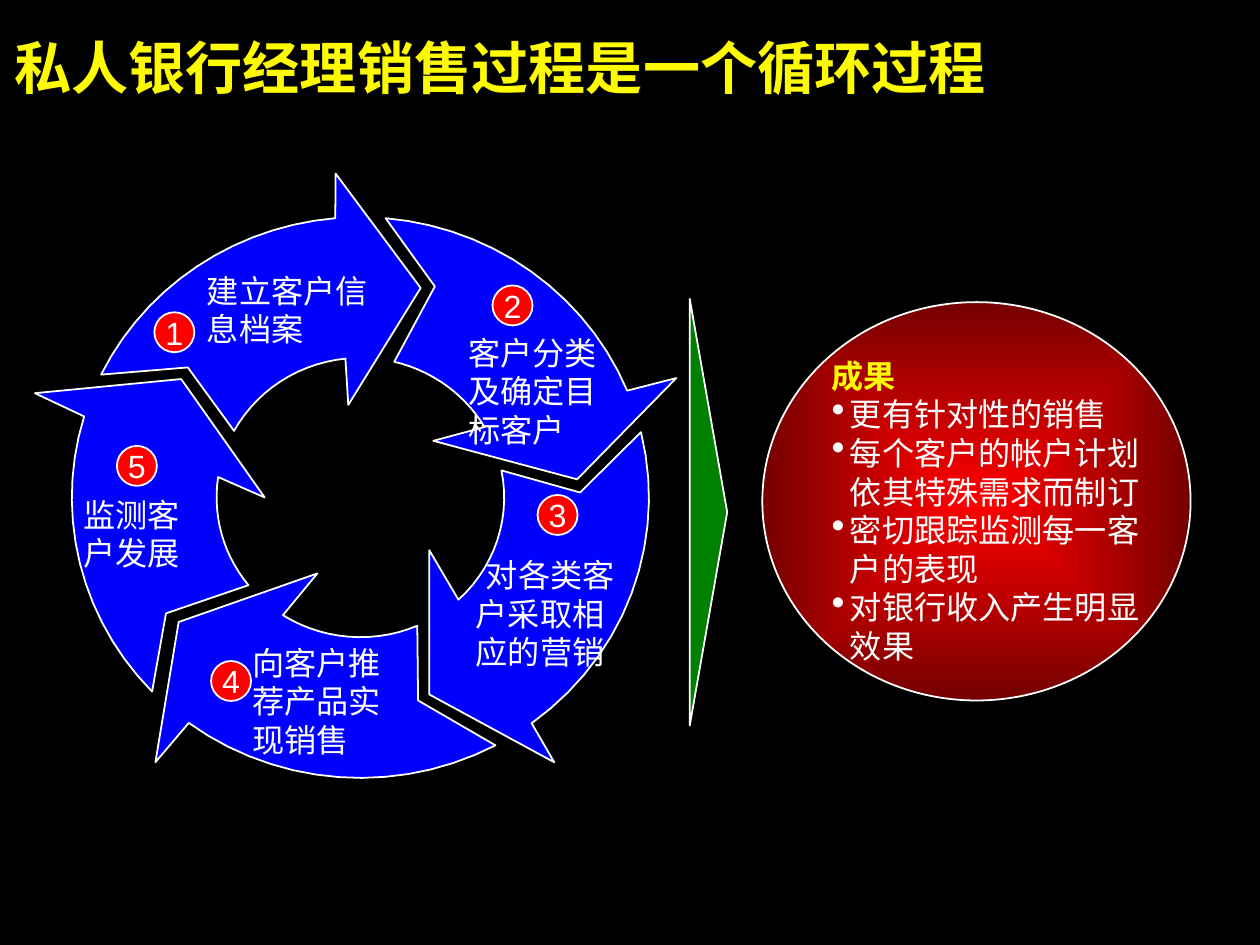
from dataclasses import dataclass
from math import cos, radians, sin

from lxml import etree
from pptx import Presentation
from pptx import util as u
from pptx.dml.color import RGBColor
from pptx.enum import shapes, text
from pptx.oxml.ns import qn


@dataclass(frozen=True)
class Theme:
    background: RGBColor = RGBColor(0, 0, 0)
    white: RGBColor = RGBColor(0xFF, 0xFF, 0xFF)
    heading: RGBColor = RGBColor(0xFE, 0xFB, 0)
    arrow: RGBColor = RGBColor(0, 0, 0xFE)
    red: RGBColor = RGBColor(0xFF, 0, 0)
    dark_red: RGBColor = RGBColor(0x75, 0, 0)
    green: RGBColor = RGBColor(0, 0x80, 0)
    font: str = "Arial"
    title_size: int = 32
    body_size: int = 18
    line_width: int = 1


CENTER = (7.12, 9.83)
OUTER_RADII = (5.7, 5.54)
INNER_RADII = (2.84, 2.76)
ARC_STEPS = 14
BADGE_SIZE = 0.79

STEPS = [
    dict(label="建立客户信息档案", box=(4.09, 5.36, 3.33, 1.52), badge=(3.05, 6.17),
         inner=(208.5, 264), head=[(6.88, 8), (8.31, 5.69), (6.63, 3.43)],
         outer=(265, 206), notch=(3.71, 7.26)),
    dict(label="客户分类及确定目标客户", box=(9.25, 6.58, 2.97, 2.29), badge=(9.73, 5.64),
         inner=(283.6, 329.7), head=[(8.56, 8.71), (11.4, 9.47), (13.36, 7.47)],
         outer=(337.6, 275), notch=(8.59, 5.66)),
    dict(label="对各类客户采取相应的营销", box=(9.3, 10.97, 2.9, 2.29), badge=(10.62, 9.78),
         inner=(-11.2, 47), head=[(8.48, 10.87), (8.48, 13.72), (10.95, 15.06)],
         outer=(53.6, -13.5), notch=(11.46, 9.73), indent=(0.1, 0.2)),
    dict(label="向客户推荐产品实现销售", box=(4.98, 12.7, 3.07, 2.29), badge=(4.17, 13.06),
         inner=(66.7, 122.6), head=[(6.27, 11.33), (3.53, 12.29), (3.07, 15.06)],
         outer=(126.5, 62.1), notch=(8.26, 13.84)),
    dict(label="监测客户发展", box=(1.65, 9.78, 2.39, 1.52), badge=(2.31, 8.81),
         inner=(141.1, 188.4), head=[(5.23, 9.83), (3.58, 7.49), (0.69, 7.77)],
         outer=(196.8, 136.2), notch=(3.28, 12.12)),
]

RESULTS = ["更有针对性的销售", "每个客户的帐户计划依其特殊需求而制订",
           "密切跟踪监测每一客户的表现", "对银行收入产生明显效果"]


def arc(radii, angles):
    start, end = angles
    turns = [radians(start + (end - start) * i / ARC_STEPS) for i in range(ARC_STEPS + 1)]
    return [(CENTER[0] + radii[0] * cos(t), CENTER[1] + radii[1] * sin(t)) for t in turns]


class SlideBuilder:
    """Draws styled elements on the current slide."""

    def __init__(self, slide, theme):
        self.slide = slide
        self.theme = theme
        slide.background.fill.solid()
        slide.background.fill.fore_color.rgb = theme.background

    def style_text(self, paragraph, color, size=None, bold=False):
        paragraph.font.name = self.theme.font
        paragraph.font.size = u.Pt(size or self.theme.body_size)
        paragraph.font.color.rgb = color
        paragraph.font.bold = bold

    def style_shape(self, shape, color):
        shape.shadow.inherit = False
        shape.fill.solid()
        shape.fill.fore_color.rgb = color
        shape.line.color.rgb = self.theme.white
        shape.line.width = u.Pt(self.theme.line_width)

    def set_frame(self, frame, anchor, wrap=True):
        frame.auto_size = text.MSO_AUTO_SIZE.NONE
        frame.word_wrap = wrap
        frame.vertical_anchor = anchor
        frame.margin_left = frame.margin_right = frame.margin_top = frame.margin_bottom = 0

    def set_indent(self, paragraph, margin, first_line):
        properties = paragraph._p.get_or_add_pPr()
        properties.set("marL", str(u.Cm(margin)))
        properties.set("indent", str(u.Cm(first_line)))
        return properties

    def title(self, words, box):
        title = self.slide.shapes.title
        title.left, title.top, title.width, title.height = map(u.Cm, box)
        self.set_frame(title.text_frame, text.MSO_ANCHOR.TOP)
        title.text_frame.text = words
        paragraph = title.text_frame.paragraphs[0]
        paragraph.alignment = text.PP_ALIGN.LEFT
        self.style_text(paragraph, self.theme.heading, self.theme.title_size, True)

    def text_box(self, words, box, anchor):
        frame = self.slide.shapes.add_textbox(*map(u.Cm, box)).text_frame
        self.set_frame(frame, anchor)
        frame.text = words
        return frame

    def label(self, words, box, indent):
        paragraph = self.text_box(words, box, text.MSO_ANCHOR.MIDDLE).paragraphs[0]
        self.set_indent(paragraph, *indent)
        self.style_text(paragraph, self.theme.white)

    def bullet_list(self, heading, items, box):
        frame = self.text_box(heading, box, text.MSO_ANCHOR.TOP)
        self.style_text(frame.paragraphs[0], self.theme.heading, bold=True)
        for item in items:
            paragraph = frame.add_paragraph()
            paragraph.text = item
            properties = self.set_indent(paragraph, 0.36, -0.36)
            color = etree.SubElement(properties, qn("a:buClr"))
            etree.SubElement(color, qn("a:srgbClr"), val=str(self.theme.white))
            etree.SubElement(properties, qn("a:buSzPct"), val="120000")
            etree.SubElement(properties, qn("a:buChar"), char="•")
            self.style_text(paragraph, self.theme.white)

    def preset(self, kind, box, color, rotation=0):
        shape = self.slide.shapes.add_shape(kind, *map(u.Cm, box))
        shape.rotation = rotation
        self.style_shape(shape, color)
        return shape

    def badge(self, number, position):
        box = (*position, BADGE_SIZE, BADGE_SIZE)
        shape = self.preset(shapes.MSO_SHAPE.OVAL, box, self.theme.red)
        self.set_frame(shape.text_frame, text.MSO_ANCHOR.MIDDLE, wrap=False)
        shape.text_frame.text = str(number)
        paragraph = shape.text_frame.paragraphs[0]
        paragraph.alignment = text.PP_ALIGN.CENTER
        self.style_text(paragraph, self.theme.white)

    def cycle_arrow(self, step):
        outline = [*arc(INNER_RADII, step["inner"]), *step["head"],
                   *arc(OUTER_RADII, step["outer"]), step["notch"]]
        points = [(u.Cm(x), u.Cm(y)) for x, y in outline]
        builder = self.slide.shapes.build_freeform(*points[0])
        builder.add_line_segments(points[1:], close=True)
        self.style_shape(builder.convert_to_shape(), self.theme.arrow)

    def glowing_oval(self, box):
        shape = self.preset(shapes.MSO_SHAPE.OVAL, box, self.theme.red)
        shape.fill.gradient()
        for stop, color in zip(shape.fill.gradient_stops, (self.theme.red, self.theme.dark_red)):
            stop.color.rgb = color
        gradient = shape._element.spPr.find(qn("a:gradFill"))
        gradient.remove(gradient.find(qn("a:lin")))
        center = etree.SubElement(gradient, qn("a:path"), path="rect")
        sides = dict.fromkeys("ltrb", "50000")
        etree.SubElement(center, qn("a:fillToRect"), sides)


def main():
    theme = Theme()
    presentation = Presentation()
    presentation.slide_width = u.Cm(24.89)
    presentation.slide_height = u.Cm(18.67)
    slide = presentation.slides.add_slide(presentation.slide_layouts[5])
    builder = SlideBuilder(slide, theme)

    builder.title("私人银行经理销售过程是一个循环过程", (0.28, 0.64, 24.16, 1.35))
    for step in STEPS:
        builder.cycle_arrow(step)
    for number, step in enumerate(STEPS, 1):
        builder.label(step["label"], step["box"], step.get("indent", (0, 0)))
        builder.badge(number, step["badge"])
    builder.preset(shapes.MSO_SHAPE.ISOSCELES_TRIANGLE, (9.78, 9.75, 8.43, 0.74), theme.green, 90)
    builder.glowing_oval((15.06, 5.97, 8.46, 7.87))
    builder.bullet_list("成果", RESULTS, (16.43, 7.04, 6.43, 6.1))
    presentation.save("out.pptx")


if __name__ == "__main__":
    main()
